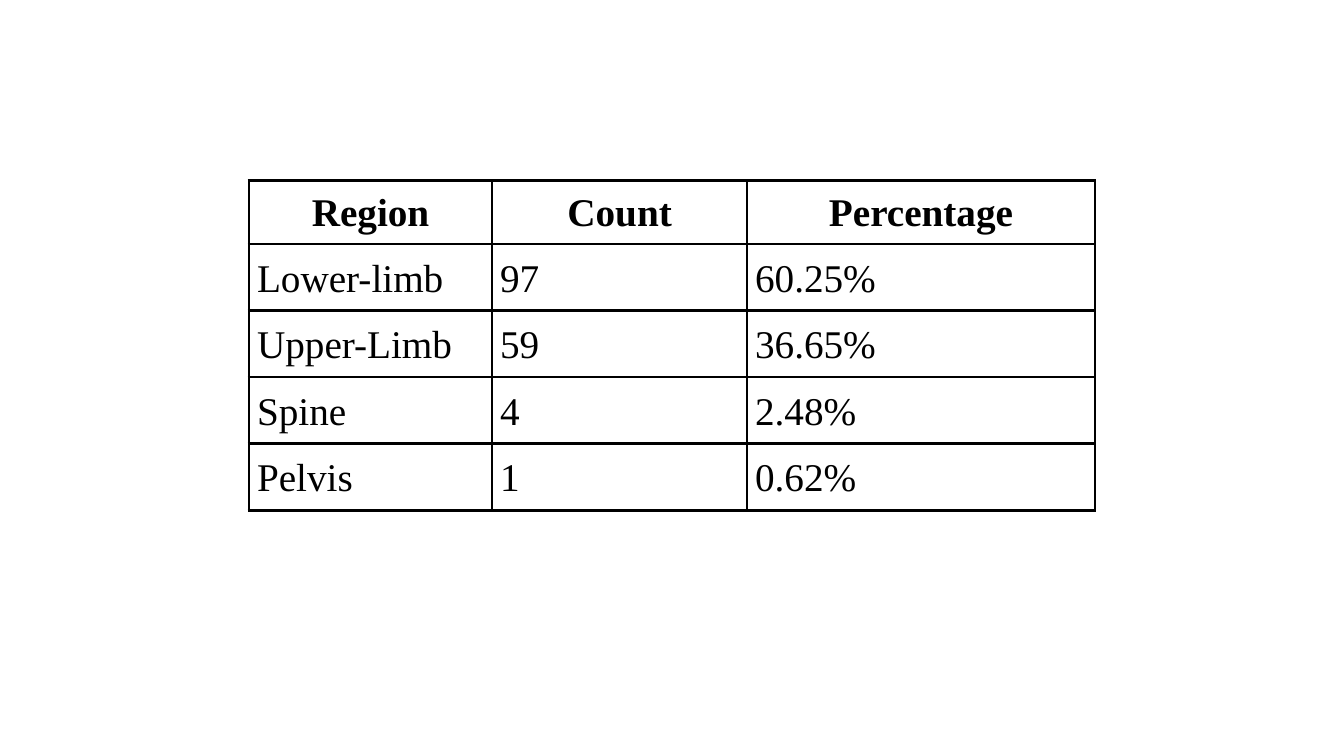
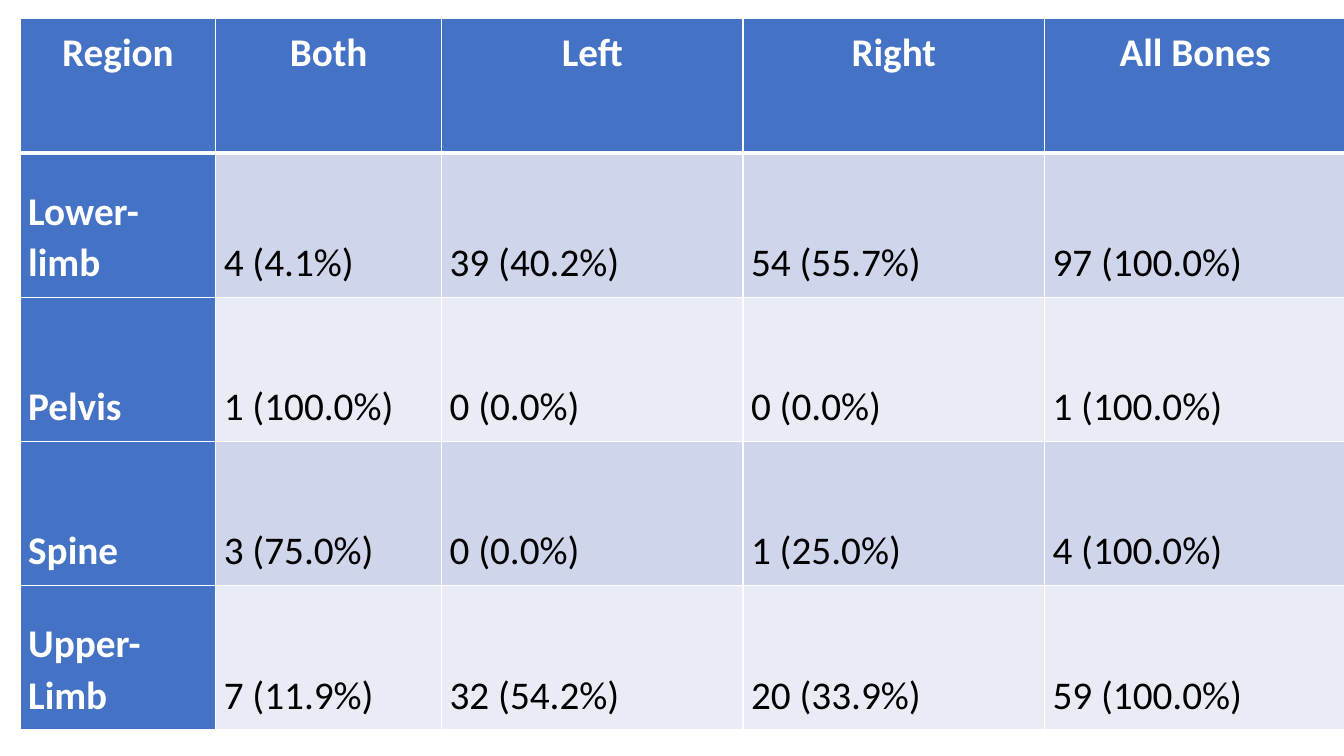
from lxml import etree
from pptx import Presentation
from pptx.dml.color import RGBColor
from pptx.enum.text import MSO_ANCHOR, PP_ALIGN
from pptx.oxml.ns import qn
from pptx.util import Inches, Pt

BLACK = RGBColor(0x00, 0x00, 0x00)
WHITE = RGBColor(0xFF, 0xFF, 0xFF)
BLUE = RGBColor(0x44, 0x72, 0xC4)
BAND_DARK = RGBColor(0xCF, 0xD5, 0xEA)
BAND_LIGHT = RGBColor(0xE9, 0xEB, 0xF5)

# Content: the first row is the header
REGION_COUNTS = [
    ("Region", "Count", "Percentage"),
    ("Lower-limb", "97", "60.25%"),
    ("Upper-Limb", "59", "36.65%"),
    ("Spine", "4", "2.48%"),
    ("Pelvis", "1", "0.62%"),
]
REGION_SIDES = [
    ("Region", "Both", "Left", "Right", "All Bones"),
    ("Lower-limb", "4 (4.1%)", "39 (40.2%)", "54 (55.7%)", "97 (100.0%)"),
    ("Pelvis", "1 (100.0%)", "0 (0.0%)", "0 (0.0%)", "1 (100.0%)"),
    ("Spine", "3 (75.0%)", "0 (0.0%)", "1 (25.0%)", "4 (100.0%)"),
    ("Upper-Limb", "7 (11.9%)", "32 (54.2%)", "20 (33.9%)", "59 (100.0%)"),
]

TABLES = [
    dict(rows=REGION_COUNTS, left=2.47, top=1.79, widths=[2.41, 2.53, 3.45],
         head_h=0.63, row_h=0.65, font="Times New Roman",
         line=BLACK, line_w=2.25, rule_w=2.25, banded=False),
    dict(rows=REGION_SIDES, left=0.2, top=0.18, widths=[1.94, 2.24] + [2.99] * 3,
         head_h=1.34, row_h=1.43, font="Calibri",
         line=WHITE, line_w=1, rule_w=3, banded=True),
]


def write(cell, text, *, font, color, bold, header):
    """Put formatted text into a table cell."""
    cell.margin_left = cell.margin_right = Inches(0.08)
    cell.margin_top = cell.margin_bottom = Inches(0.08 if header else 0.1)
    cell.vertical_anchor = MSO_ANCHOR.TOP if header else MSO_ANCHOR.BOTTOM
    p = cell.text_frame.paragraphs[0]
    p.alignment = PP_ALIGN.CENTER if header else PP_ALIGN.LEFT
    p.line_spacing = 1.07
    p.space_before = p.space_after = Pt(12)
    r = p.add_run()
    r.text = text
    r.font.name, r.font.size = font, Pt(28)
    r.font.bold, r.font.color.rgb = bold, color


def set_borders(cell, color, widths):
    """Draw the left, right, top and bottom lines, widths in points."""
    tcPr = cell._tc.get_or_add_tcPr()
    for side, width in zip("LRTB", widths):
        ln = etree.SubElement(tcPr, qn(f"a:ln{side}"), w=str(Pt(width)))
        fill = etree.SubElement(ln, qn("a:solidFill"))
        etree.SubElement(fill, qn("a:srgbClr"), val=str(color))


def build_table(s, t):
    rows, widths = t["rows"], t["widths"]
    heights = [t["head_h"]] + [t["row_h"]] * (len(rows) - 1)
    table = s.shapes.add_table(
        len(rows), len(widths), Inches(t["left"]), Inches(t["top"]),
        Inches(sum(widths)), Inches(sum(heights))).table
    table.first_row = table.first_col = t["banded"]
    table.horz_banding = t["banded"]
    for column, width in zip(table.columns, widths):
        column.width = Inches(width)
    for row, height in zip(table.rows, heights):
        row.height = Inches(height)

    for i, values in enumerate(rows):
        for j, text in enumerate(values):
            cell = table.cell(i, j)
            header = i == 0
            label = t["banded"] and (header or j == 0)
            write(cell, text, font=t["font"], header=header,
                  color=WHITE if label else BLACK, bold=header or label)

            # The rule under the header is shared by the first two rows
            top = t["rule_w"] if i == 1 else t["line_w"]
            bottom = t["rule_w"] if header else t["line_w"]
            set_borders(cell, t["line"], (t["line_w"], t["line_w"], top, bottom))

            # Fill: blue labels, alternating bands
            if t["banded"]:
                cell.fill.solid()
                band = BAND_DARK if i % 2 else BAND_LIGHT
                cell.fill.fore_color.rgb = BLUE if label else band
            else:
                cell.fill.background()


def main():
    prs = Presentation()
    prs.slide_width, prs.slide_height = Inches(13.33), Inches(7.5)
    blank = prs.slide_layouts[6]
    for t in TABLES:
        build_table(prs.slides.add_slide(blank), t)
    prs.save("out.pptx")


if __name__ == "__main__":
    main()
